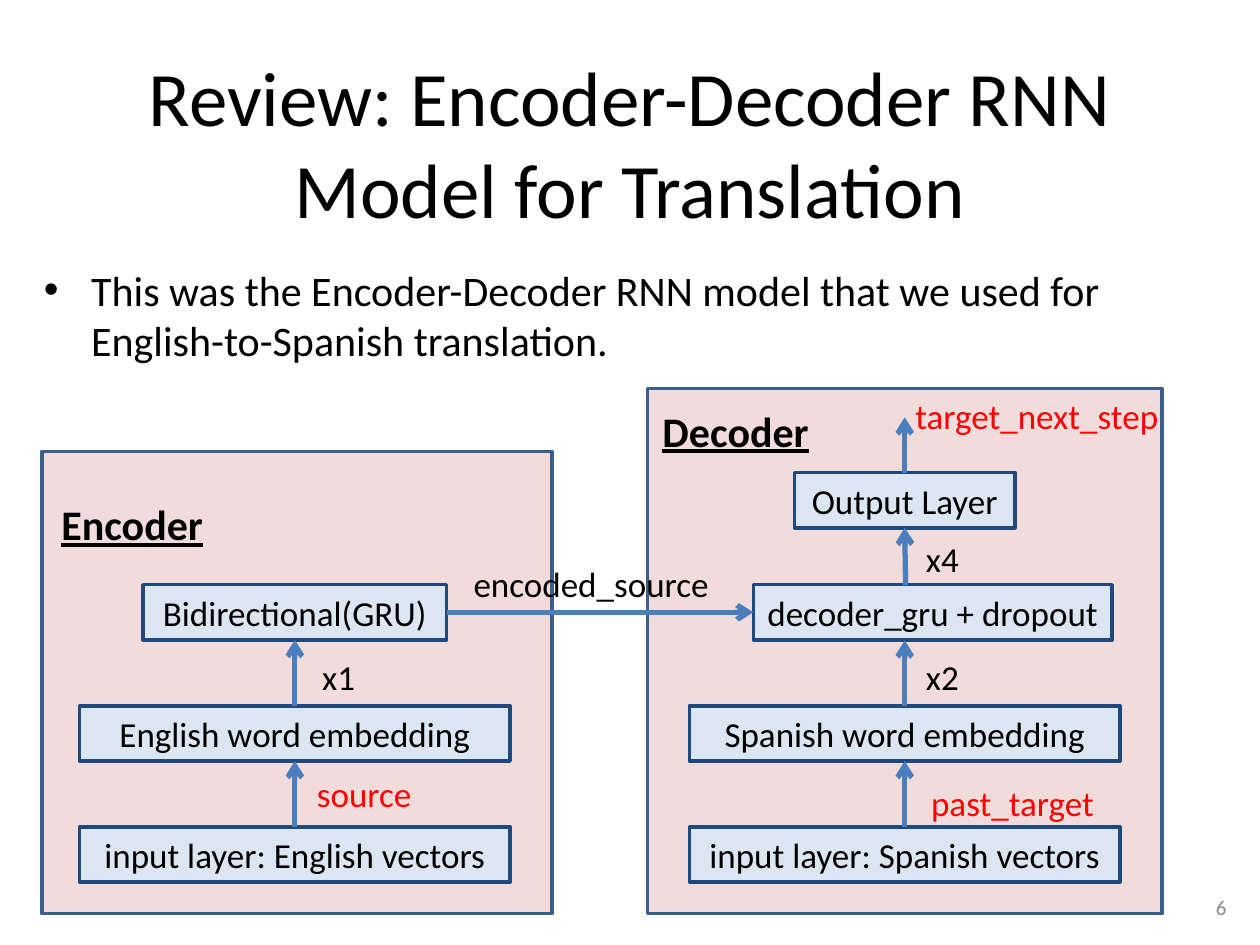
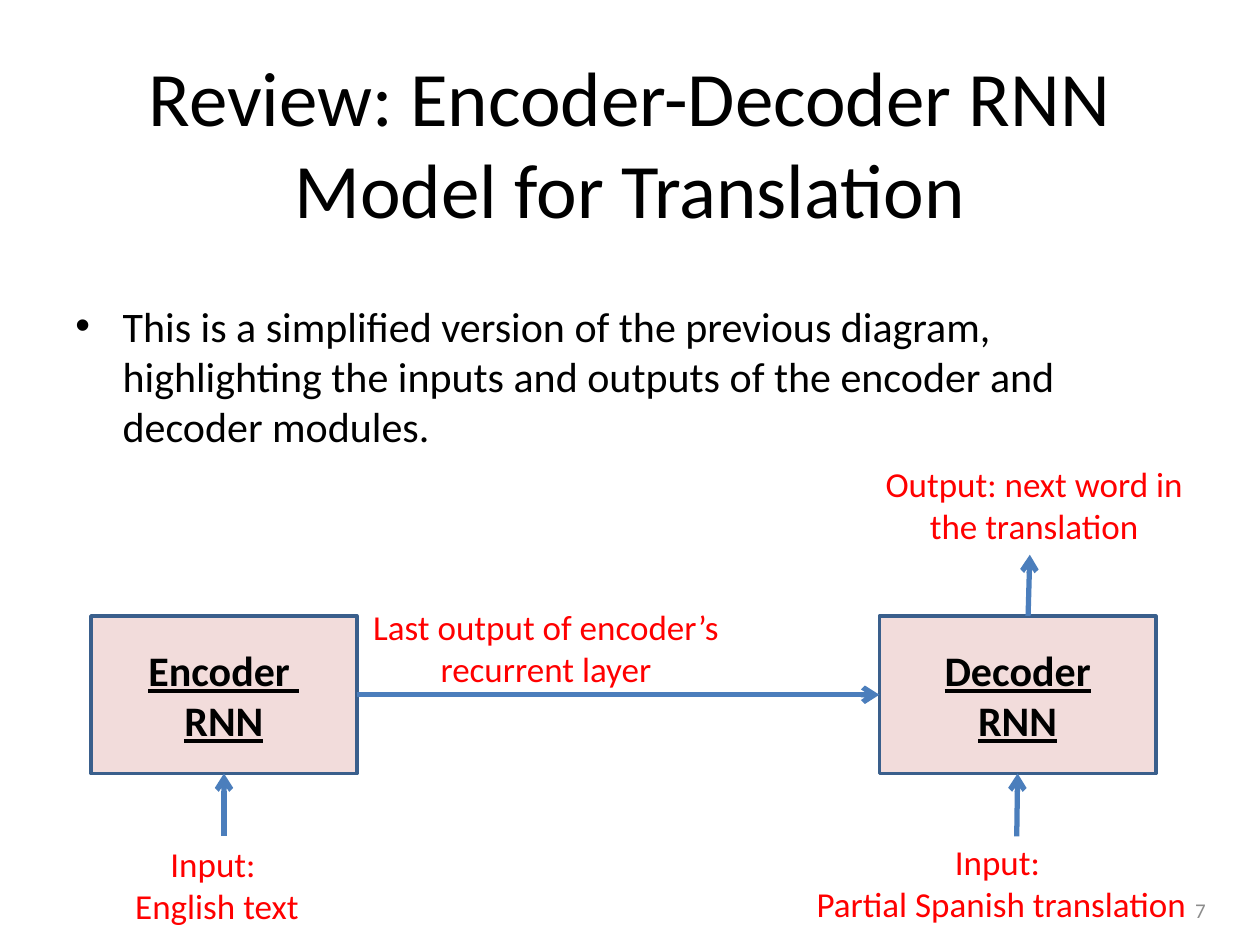
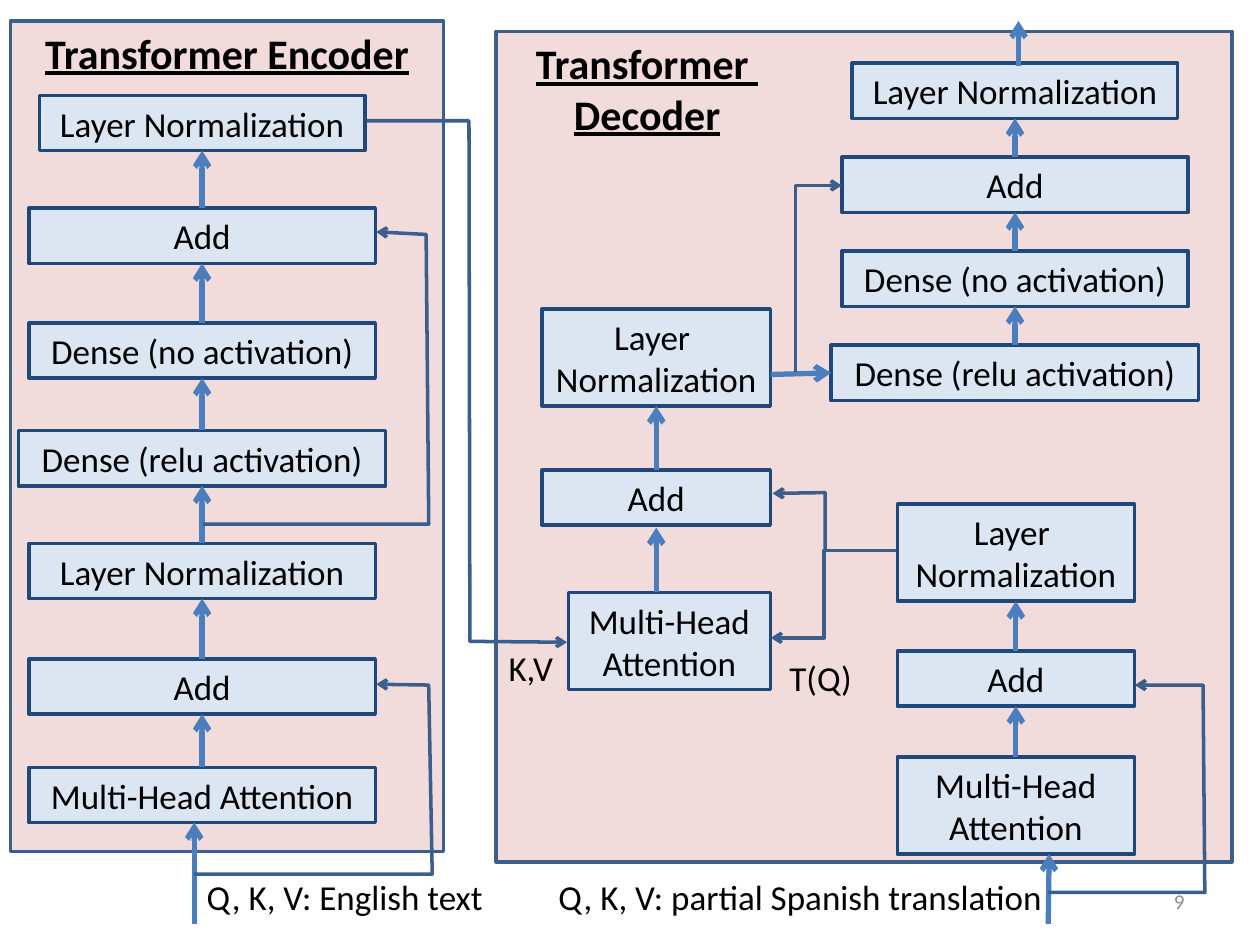
"""Build three slides on encoder-decoder translation models, from RNN to Transformer."""
from dataclasses import dataclass

from lxml import etree
from pptx import Presentation
from pptx import util as u
from pptx.dml.color import RGBColor
from pptx.enum import shapes, text
from pptx.oxml import ns

Pt = u.Pt
TOP, LEFT, BOTTOM, RIGHT = range(4)
ALIGN = {"l": text.PP_ALIGN.LEFT, "c": text.PP_ALIGN.CENTER, "r": text.PP_ALIGN.RIGHT}
ANCHOR = {"top": text.MSO_ANCHOR.TOP, "middle": text.MSO_ANCHOR.MIDDLE}


@dataclass(frozen=True)
class Style:
    size: float
    color: str = "000000"
    strong: bool = False
    align: str = "l"
    anchor: str = "top"
    wrap: bool = True


@dataclass(frozen=True)
class Theme:
    font: str = "Calibri"
    panel_fill: str = "F2DCDB"
    panel_line: str = "3A5F8C"
    block_fill: str = "DCE6F2"
    block_line: str = "1F497D"
    flow: str = "4B7EBC"
    outline: float = 2
    flow_width: float = 3
    bullet_indent: float = 27
    title: Style = Style(44, align="c", anchor="middle")
    body: Style = Style(24)
    page: Style = Style(12, "8C8C8C", align="r", anchor="middle")
    heading: Style = Style(24, strong=True)
    panel_top: Style = Style(24, strong=True, align="c")
    panel_middle: Style = Style(24, strong=True, align="c", anchor="middle")
    block: Style = Style(20, align="c", anchor="middle")
    note: Style = Style(20, wrap=False)
    signal: Style = Style(20, "FF0000", wrap=False)
    caption: Style = Style(20, "FF0000", align="c")


THEME = Theme()
REVIEW_TITLE = "Review: Encoder-Decoder RNN Model for Translation"
TITLE_AREA = (36, 42, 648, 78)
BLOCK_HEIGHT = {1: 31.6, 2: 55.6}
RNN_ROWS = [472.5 - 69.2 * level for level in range(3)]
FEED_FORWARD_ROWS = [197.3 - 53.75 * level for level in range(4)]

# panels: key, text, area, style, right inset; blocks: key, text, centre x, top, width, lines
RNN_MODEL = {
    "title": REVIEW_TITLE,
    "bullet": ("This was the Encoder-Decoder RNN model that we used for "
               "English-to-Spanish translation.", (18, 147.5, 684, 68.5)),
    "page": ("6", (636, 504, 72, 29)),
    "panels": [
        ("decoder", "", (370, 222, 294, 300), "panel_top", 7.2),
        ("encoder", "", (24, 258, 291.5, 264), "panel_top", 7.2),
    ],
    "blocks": [
        ("english", "input layer: English vectors", 168.5, RNN_ROWS[0], 246, 1),
        ("english_embedding", "English word embedding", 168.5, RNN_ROWS[1], 246, 1),
        ("encoder_gru", "Bidirectional(GRU)", 168.5, RNN_ROWS[2], 173.5, 1),
        ("spanish", "input layer: Spanish vectors", 517, RNN_ROWS[0], 246, 1),
        ("spanish_embedding", "Spanish word embedding", 517, RNN_ROWS[1], 246, 1),
        ("decoder_gru", "decoder_gru + dropout", 533, RNN_ROWS[2], 205, 1),
        ("output", "Output Layer", 517, 270, 126, 1),
    ],
    "chains": [("english", "english_embedding", "encoder_gru"),
               ("spanish", "spanish_embedding")],
    "flows": [
        (("encoder_gru", RIGHT), ("decoder_gru", LEFT)),
        (("spanish_embedding", TOP), (517, 366)),
        ((517.5, 334.5), ("output", BOTTOM)),
        (("output", TOP), (517, 238.5)),
    ],
    "labels": [
        ("Decoder", (371.5, 228, 100, 36), "heading"),
        ("Encoder", (28, 281.5, 116, 36), "heading"),
        ("source", (174, 438, 69, 31.6), "signal"),
        ("past_target", (525, 443, 108.5, 31.6), "signal"),
        ("encoded_source", (263.5, 318, 150.5, 31.6), "note"),
        ("x1", (177, 371, 33, 31.6), "note"),
        ("x2", (522, 371, 33, 31.6), "note"),
        ("x4", (522, 303.5, 33, 31.6), "note"),
        ("target_next_step", (516, 222, 155, 31.6), "signal"),
    ],
}

RNN_SUMMARY = {
    "title": REVIEW_TITLE,
    "bullet": ("This is a simplified version of the previous diagram, highlighting the inputs "
               "and outputs of the encoder and decoder modules.", (36, 168, 648, 94)),
    "page": ("7", (528, 505.5, 168, 29)),
    "panels": [
        ("decoder", "Decoder\nRNN", (502.5, 352, 158, 90), "panel_middle", 7.2),
        ("encoder", "Encoder \vRNN", (52, 352, 152, 90), "panel_middle", 7.2),
    ],
    "flows": [
        (("encoder", RIGHT), ("decoder", LEFT)),
        ((587.5, 352), (588.5, 317)),
        ((128, 477.5), ("encoder", BOTTOM)),
        ((581, 478), ("decoder", BOTTOM)),
    ],
    "labels": [
        ("Output: next word in the translation", (498, 260.5, 186, 55.6), "caption"),
        ("Input: \vEnglish text", (64, 478, 120, 55.6), "caption"),
        ("Last output of encoder’s recurrent layer", (204.5, 342.5, 215, 55.6), "caption"),
        ("Input: \vPartial Spanish translation", (456, 476.5, 232.5, 55.6), "caption"),
    ],
}

TRANSFORMER = {
    "page": ("9", (516, 500.5, 168, 29)),
    "panels": [
        ("encoder", "Transformer Encoder", (6, 12, 247.5, 474.5), "panel_top", 7.2),
        ("decoder", "Transformer \vDecoder", (283.5, 18, 420.5, 474.5), "panel_top", 255),
    ],
    "blocks": [
        ("attention", "Multi-Head Attention", 115.5, 438.5, 198, 1),
        ("attention_add", "Add", 115.5, 376.5, 198, 1),
        ("attention_norm", "Layer Normalization", 115.5, 310.5, 198, 1),
        ("relu", "Dense (relu activation)", 115.5, 246, 210, 1),
        ("linear", "Dense (no activation)", 115.5, 184.5, 198, 1),
        ("dense_add", "Add", 115.5, 119, 198, 1),
        ("dense_norm", "Layer Normalization", 115.5, 54.5, 186, 1),
        ("self_attention", "Multi-Head Attention", 580.5, 432.5, 135.5, 2),
        ("self_add", "Add", 580.5, 372, 135.5, 1),
        ("self_norm", "Layer \vNormalization", 580.5, 288, 135.5, 2),
        ("cross_attention", "Multi-Head Attention", 382.5, 338.5, 115.5, 2),
        ("cross_add", "Add", 375, 268.5, 130.5, 1),
        ("cross_norm", "Layer \nNormalization", 375, 176.5, 130.5, 2),
        ("out_relu", "Dense (relu activation)", 580, FEED_FORWARD_ROWS[0], 210, 1),
        ("out_linear", "Dense (no activation)", 580, FEED_FORWARD_ROWS[1], 198, 1),
        ("out_add", "Add", 580, FEED_FORWARD_ROWS[2], 198, 1),
        ("out_norm", "Layer Normalization", 580, FEED_FORWARD_ROWS[3], 186, 1),
    ],
    "chains": [
        ("attention", "attention_add", "attention_norm", "relu", "linear", "dense_add",
         "dense_norm"),
        ("self_attention", "self_add", "self_norm"),
        ("cross_add", "cross_norm"),
        ("out_relu", "out_linear", "out_add", "out_norm"),
    ],
    "flows": [
        ((111, 528), (111, 470)),
        ((599, 528), (599.5, 488)),
        ((375, 338.5), (375, 301.5)),
        ((440.5, 214), ("out_relu", LEFT)),
        ((582, 38), (582, 12)),
    ],
    "loops": [
        [(111, 499.5), (247, 499.5), (245, 391.5), (215, 391)],
        [(116, 299.5), (245, 299.5), (243.5, 134), (215, 132.5)],
        [(599, 510), (688.5, 510), (687.5, 391.5), (648.5, 391.5)],
        [(512, 314.5), (471, 314.5), (471, 364.5), (440.5, 364.5)],
        [(471.5, 315), (471.5, 281.5), (441.5, 282)],
        [(454.5, 212.5), (454.5, 106), (481, 106)],
        [(209.5, 69), (268, 69), (268.5, 366.5), (324, 367)],
    ],
    "labels": [
        ("Q, K, V: English text", (111, 497, 188, 31.6), "note"),
        ("Q, K, V: partial Spanish translation", (312, 497, 294, 31.6), "note"),
        ("T(Q)", (444, 371.5, 50.5, 31.6), "note"),
        ("K,V", (283.5, 366, 40.5, 31.6), "note"),
    ],
}


def points(values):
    return [Pt(value) for value in values]


def write(shape, wording, style):
    frame = shape.text_frame
    frame.text = wording
    frame.word_wrap = style.wrap
    frame.vertical_anchor = ANCHOR[style.anchor]
    for paragraph in frame.paragraphs:
        paragraph.alignment = ALIGN[style.align]
        for run in paragraph.runs:
            run.font.name = THEME.font
            run.font.size = Pt(style.size)
            run.font.color.rgb = RGBColor.from_string(style.color)
            if style.strong:
                run.font.bold = run.font.underline = True


def add_label(slide, wording, area, style):
    label = slide.shapes.add_textbox(*points(area))
    write(label, wording, style)
    return label


def add_bullet(slide, wording, area):
    body = add_label(slide, wording, area, THEME.body)
    properties = body.text_frame.paragraphs[0]._p.get_or_add_pPr()
    indent = Pt(THEME.bullet_indent)
    properties.set("marL", str(indent))
    properties.set("indent", str(-indent))
    etree.SubElement(properties, ns.qn("a:buFont"), typeface="Arial")
    etree.SubElement(properties, ns.qn("a:buChar"), char="•")


def draw_line(shape, color, width):
    shape.line.color.rgb = RGBColor.from_string(color)
    shape.line.width = Pt(width)


def add_arrowhead(shape):
    outline = shape._element.spPr.find(ns.qn("a:ln"))
    etree.SubElement(outline, ns.qn("a:tailEnd"), type="arrow")


def add_box(slide, wording, area, style, fill, line):
    box = slide.shapes.add_shape(shapes.MSO_SHAPE.RECTANGLE, *points(area))
    box.shadow.inherit = False
    box.fill.solid()
    box.fill.fore_color.rgb = RGBColor.from_string(fill)
    draw_line(box, line, THEME.outline)
    if wording:
        write(box, wording, style)
    return box


def add_flow(slide, boxes, start, end):
    tail, head = ((0, 0) if isinstance(stop[0], str) else stop for stop in (start, end))
    flow = slide.shapes.add_connector(shapes.MSO_CONNECTOR.STRAIGHT, *points((*tail, *head)))
    for stop, connect in ((start, flow.begin_connect), (end, flow.end_connect)):
        if isinstance(stop[0], str):
            connect(boxes[stop[0]], stop[1])
    draw_line(flow, THEME.flow, THEME.flow_width)
    add_arrowhead(flow)
    etree.SubElement(flow._element.spPr, ns.qn("a:effectLst"))


def add_loop(slide, corners):
    first, *rest = [points(corner) for corner in corners]
    builder = slide.shapes.build_freeform(*first)
    builder.add_line_segments(rest, close=False)
    loop = builder.convert_to_shape()
    loop.shadow.inherit = False
    loop.fill.background()
    draw_line(loop, THEME.panel_line, THEME.outline)
    add_arrowhead(loop)


def build_slide(deck, content):
    slide = deck.slides.add_slide(deck.slide_layouts[6])
    boxes = {}
    if "title" in content:
        add_label(slide, content["title"], TITLE_AREA, THEME.title)
        add_bullet(slide, *content["bullet"])
    for key, wording, area, style, inset in content["panels"]:
        boxes[key] = add_box(slide, wording, area, getattr(THEME, style),
                             THEME.panel_fill, THEME.panel_line)
        boxes[key].text_frame.margin_right = Pt(inset)
    for key, wording, center, top, width, lines in content.get("blocks", []):
        area = (center - width / 2, top, width, BLOCK_HEIGHT[lines])
        boxes[key] = add_box(slide, wording, area, THEME.block,
                             THEME.block_fill, THEME.block_line)
    for chain in content.get("chains", []):
        for lower, upper in zip(chain, chain[1:]):
            add_flow(slide, boxes, (lower, TOP), (upper, BOTTOM))
    for start, end in content["flows"]:
        add_flow(slide, boxes, start, end)
    for corners in content.get("loops", []):
        add_loop(slide, corners)
    for wording, area, style in content["labels"]:
        add_label(slide, wording, area, getattr(THEME, style))
    add_label(slide, *content["page"], THEME.page)


def main():
    deck = Presentation()
    deck.slide_width, deck.slide_height = Pt(720), Pt(540)
    for content in (RNN_MODEL, RNN_SUMMARY, TRANSFORMER):
        build_slide(deck, content)
    deck.save("out.pptx")


if __name__ == "__main__":
    main()
